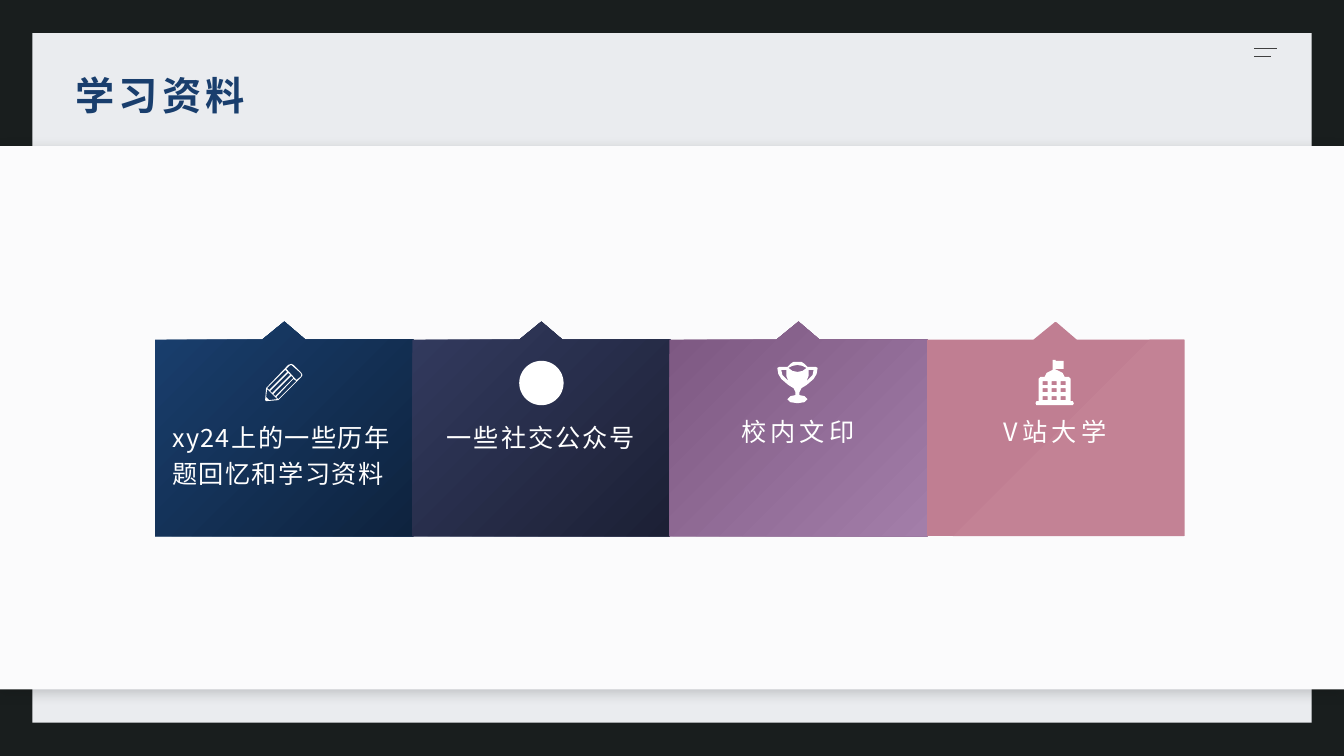
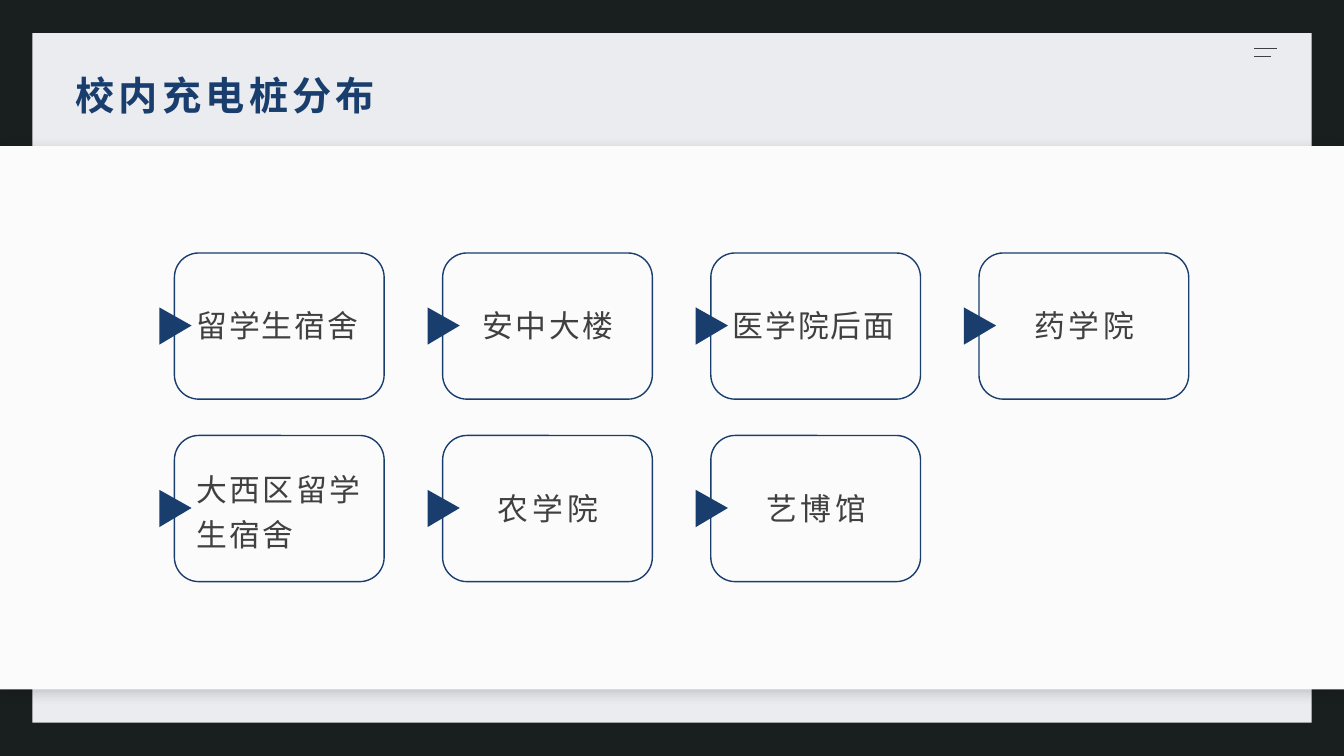
import pptx
import pptx.util
import pptx.dml.color
import pptx.enum.shapes
import pptx.enum.text
import pptx.oxml
import pptx.oxml.ns
from dataclasses import dataclass

Inches = pptx.util.Inches
Pt = pptx.util.Pt
Color = pptx.dml.color.RGBColor.from_string
Kind = pptx.enum.shapes.MSO_SHAPE
Align = pptx.enum.text.PP_ALIGN
Anchor = pptx.enum.text.MSO_ANCHOR


@dataclass(frozen=True)
class Theme:
    font: str = "Noto Sans CJK SC"
    back: str = "191E1E"
    panel: str = "EAECEF"
    band: str = "FBFBFC"
    navy: str = "193E6D"
    gray: str = "404040"
    white: str = "FFFFFF"
    shade: str = "0D0D0D"
    title: int = 28
    card: int = 18
    place: int = 22
    after: int = 8


theme = Theme()
WIDE, HIGH = 13.33, 7.5


def say(frame, text, size, color, space, bold=False, center=False,
        anchor=Anchor.TOP, lead=None, inset=(0.1, 0.05)):
    """Write one formatted paragraph; space is the tracking in points."""
    frame.word_wrap = True
    frame.auto_size = pptx.enum.text.MSO_AUTO_SIZE.NONE
    frame.vertical_anchor = anchor
    frame.margin_left = frame.margin_right = Inches(inset[0])
    frame.margin_top = frame.margin_bottom = Inches(inset[1])
    line = frame.paragraphs[0]
    line.alignment = Align.CENTER if center else Align.LEFT
    line.space_after = Pt(theme.after)
    if lead:
        line.line_spacing = lead
    run = line.add_run()
    run.text = text
    run.font.name = theme.font
    run.font.size = Pt(size)
    run.font.bold = bold
    run.font.color.rgb = Color(color)
    props = run.font._element
    props.set("spc", str(round(space * 100)))
    east = pptx.oxml.ns.qn("a:ea")
    props.get_or_add_latin().addnext(props.makeelement(east, {"typeface": theme.font}))


def draw(slide, loops, left, top, color):
    """Fill closed loops whose points are in hundredths of an inch."""
    pen = slide.shapes.build_freeform(*loops[0][0], scale=Inches(0.01))
    for loop in loops:
        pen.move_to(*loop[0])
        pen.add_line_segments(loop[1:], close=True)
    shape = pen.convert_to_shape(Inches(left), Inches(top))
    shape.shadow.inherit = False
    shape.line.fill.background()
    shape.fill.solid()
    shape.fill.fore_color.rgb = Color(color)
    return shape


# Shared frame
deck = pptx.Presentation()
deck.slide_width, deck.slide_height = Inches(WIDE), Inches(HIGH)
ground = deck.slide_master.background.fill
ground.solid()
ground.fore_color.rgb = Color(theme.back)
layout = deck.slide_layouts.get_by_name("Title Only")
head = layout.placeholders[0]
head.left, head.top, head.width, head.height = map(Inches, (0.67, 0.67, 12, 0.62))

pages = []
for name in ("学习资料", "校内充电桩分布"):
    page = deck.slides.add_slide(layout)
    say(page.shapes.title.text_frame, name, theme.title, theme.navy, 3,
        bold=True, inset=(0.08, 0.04))
    pages.append(page)
study, power = pages

# Panel, band and menu mark are moved into the layout, below the slide content
parts = []
for box, color in (((0.32, 0.33, 12.69, 6.84), theme.panel),
                   ((0, 1.45, WIDE, 5.39), theme.band)):
    part = study.shapes.add_shape(Kind.RECTANGLE, *map(Inches, box))
    part.shadow.inherit = False
    part.fill.solid()
    part.fill.fore_color.rgb = Color(color)
    part.line.fill.background()
    parts.append(part)
space = pptx.oxml.ns.nsdecls("a")
parts[1].element.spPr.find(pptx.oxml.ns.qn("a:effectLst")).append(pptx.oxml.parse_xml(
    f'<a:outerShdw {space} blurRad="{Pt(10)}" dist="{Pt(3)}" dir="5400000" '
    f'algn="t" rotWithShape="0"><a:srgbClr val="{theme.shade}">'
    '<a:alpha val="20000"/></a:srgbClr></a:outerShdw>'))
for y, end in ((0.48, 12.67), (0.56, 12.61)):
    part = study.shapes.add_connector(pptx.enum.shapes.MSO_CONNECTOR.STRAIGHT,
                                      *map(Inches, (12.44, y, end, y)))
    part.line.color.rgb = Color(theme.gray)
    part.line.width = Pt(1)
    part.element.spPr.append(pptx.oxml.parse_xml(f"<a:effectLst {space}/>"))
    parts.append(part)
for rank, part in enumerate(parts):
    part.element.xpath(".//p:cNvPr")[0].set("id", str(100 + rank))
    layout.shapes.element.append(part.element)

# Study material: four pointed cards
left, top, step, wide, tall = 1.54, 3.19, 2.55, 2.56, 2.13
tag = [(128, 0), (149, 18), (256, 18), (256, 213), (0, 213), (0, 18), (106, 18)]
cards = [
    ("xy24上的一些历年题回忆和学习资料", theme.navy, "0E233E", 1, False, 1.2),
    ("一些社交公众号", "323A5E", "1C2035", 1.4, True, 1.2),
    ("校内文印", "7D5882", "A37EA9", 2.8, True, None),
    ("V站大学", "C07E92", "C38295", 3, True, None),
]
for col, (text, first, last, track, center, lead) in enumerate(cards):
    x = left + col * step
    fill = draw(study, [tag], x, top, first).fill
    fill.gradient()
    fill.gradient_angle = 315
    for stop, color, spot in zip(fill.gradient_stops, (first, last), (0.02, 1)):
        stop.color.rgb = Color(color)
        stop.position = spot
    box = study.shapes.add_textbox(*map(Inches, (x + 0.07, 4.08, 2.41, 1.03)))
    say(box.text_frame, text, theme.card, theme.white, track, center=center, lead=lead)

# Card icons, each centred on its card
pencil = [
    [(36, 9), (28, 1), (26, 0), (23, 1), (1, 24), (0, 36), (1, 37), (13, 36),
     (36, 13), (37, 11)],
    [(20, 6), (22, 8), (4, 26), (2, 24)],
    [(7, 29), (5, 27), (23, 9), (25, 11)],
    [(26, 12), (28, 14), (10, 32), (8, 30)],
    [(11, 33), (28, 15), (31, 17), (13, 35)],
    [(4, 36), (1, 33), (2, 25), (12, 35)],
    [(35, 13), (31, 16), (21, 5), (24, 2), (26, 1), (27, 2), (35, 9), (36, 11)],
]
cup = [(0, 0), (4, 0), (7, 2), (10, 5), (18, 5), (20, 6), (19, 12), (16, 17),
       (9, 23), (4, 26), (2, 30), (2, 33), (7, 34), (10, 37), (7, 40), (0, 41)]
rim = [(0, 3), (5, 4), (9, 6), (5, 9), (0, 10)]
grip = [(11, 8), (16, 8), (15, 13), (9, 19), (11, 14)]
hall = [(0, 10), (2, 10), (8, 13), (10, 17), (14, 17), (16, 19), (16, 41),
        (18, 41), (19, 43), (18, 45), (0, 45)]
flag = [(-2, 0), (1, 0), (1, 1), (9, 1), (9, 9), (1, 9), (1, 10), (-2, 10)]
# Half outlines are completed by mirroring them about x = 0
cup, rim, hall = [half + [(-x, y) for x, y in reversed(half)] for half in (cup, rim, hall)]
panes = [[(x, y), (x + 5, y), (x + 5, y + 4), (x, y + 4)]
         for x in (-12, -3, 6) for y in (21, 28, 36)]
trophy = [cup, rim, grip, [(-x, y) for x, y in grip]]
mid = left + wide / 2
draw(study, pencil, mid - 0.19, 3.61, theme.white)
draw(study, trophy, mid + 2 * step - 0.01, 3.59, theme.white)
draw(study, [hall, flag, *panes], mid + 3 * step - 0.01, 3.57, theme.white)
disc = study.shapes.add_shape(Kind.OVAL, *map(Inches, (mid + step - 0.22, 3.58, 0.44, 0.44)))
disc.shadow.inherit = False
disc.fill.solid()
disc.fill.fore_color.rgb = Color(theme.white)
disc.line.fill.background()

# Charging points: a grid of four columns
places = [
    ("留学生宿舍", 1.4, False, None), ("安中大楼", 1.8, True, None),
    ("医学院后面", 1.4, False, None), ("药学院", 2.8, True, None),
    ("大西区留学生宿舍", 1.8, False, 1.2), ("农学院", 2.8, True, None),
    ("艺博馆", 2.8, True, None),
]
arrow = [(0, 0), (32, 18), (0, 37)]
for rank, (text, track, center, lead) in enumerate(places):
    row, col = divmod(rank, 4)
    x, y = 1.73 + col * 2.66, 2.51 + row * 1.81
    draw(power, [arrow], x - 0.15, y + 0.54, theme.navy)
    box = power.shapes.add_textbox(*map(Inches, (x + 0.12, y + 0.11, 1.85, 1.22)))
    say(box.text_frame, text, theme.place, theme.gray, track, center=center,
        anchor=Anchor.MIDDLE, lead=lead)
    frame = power.shapes.add_shape(Kind.ROUNDED_RECTANGLE, *map(Inches, (x, y, 2.08, 1.45)))
    frame.shadow.inherit = False
    frame.fill.background()
    frame.line.color.rgb = Color(theme.navy)
    frame.line.width = Pt(1)

deck.save("out.pptx")
